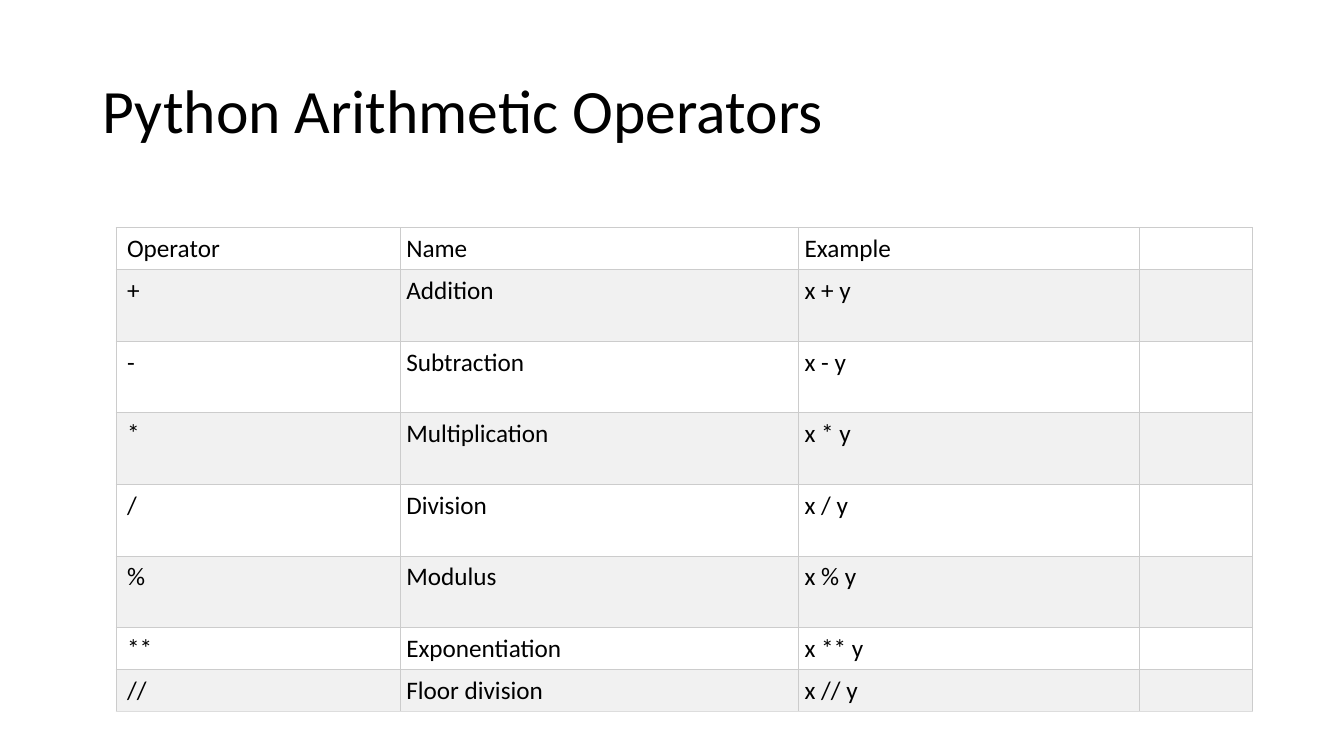
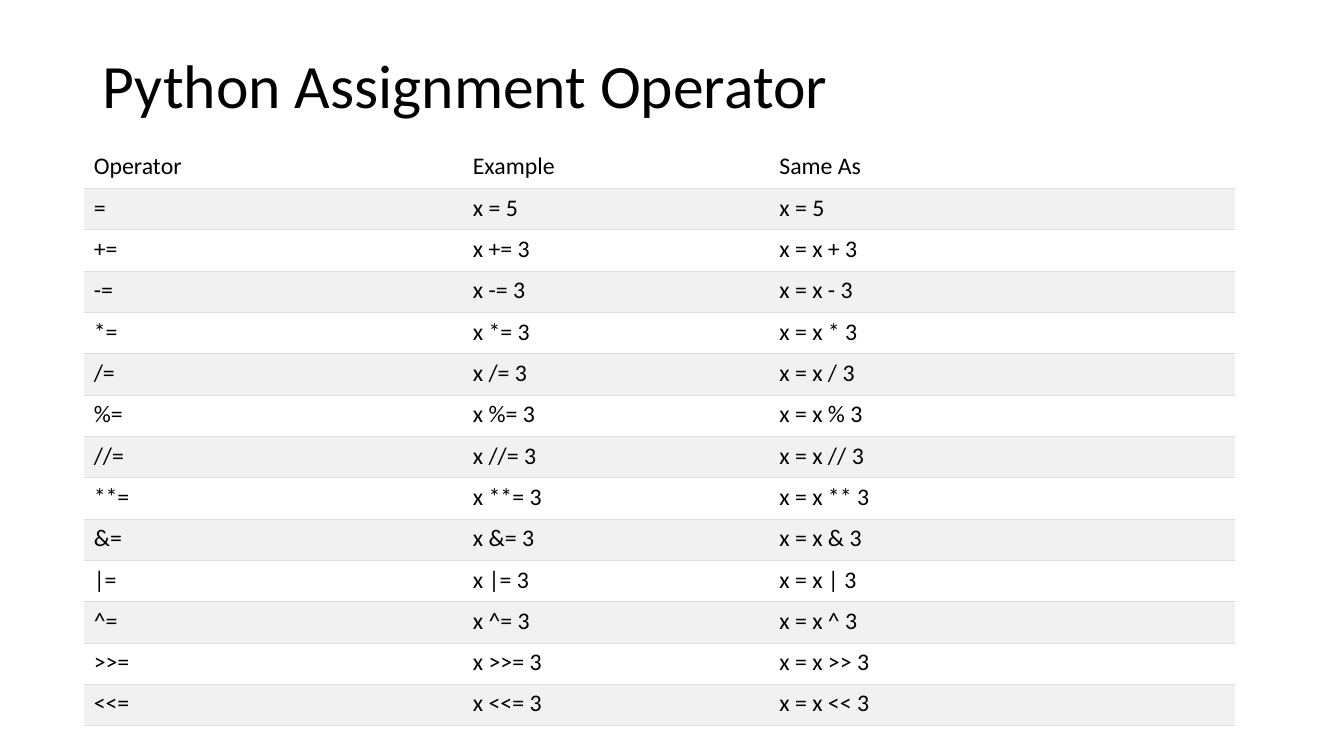
from lxml import etree
from pptx import Presentation
from pptx.dml.color import RGBColor
from pptx.enum.text import MSO_ANCHOR, PP_ALIGN
from pptx.oxml.ns import qn
from pptx.util import Inches, Pt

BLACK, WHITE, BAND = "000000", "FFFFFF", "F1F1F1"
GRID, RULE = "CCCCCC", "DDDDDD"


def rgb(value):
    return RGBColor.from_string(value)


def apply(obj, values):
    for name, value in values.items():
        setattr(obj, name, value)


class Deck:
    font = "Calibri"
    title_size = 44
    border_width = 0.5

    def __init__(self):
        self.prs = Presentation()
        apply(self.prs, {"slide_width": Inches(13.33), "slide_height": Inches(7.5)})
        self.s = None

    def style_run(self, r, size):
        apply(r.font, {"name": self.font, "size": Pt(size), "bold": False})
        r.font.color.rgb = rgb(BLACK)

    def slide(self, title, height):
        self.s = self.prs.slides.add_slide(self.prs.slide_layouts[5])
        sp = self.s.shapes.title
        apply(sp, {"left": Inches(0.92), "top": Inches(0.4),
                   "width": Inches(11.5), "height": Inches(height)})
        tf = sp.text_frame
        apply(tf, {"text": title, "word_wrap": True,
                   "vertical_anchor": MSO_ANCHOR.MIDDLE})
        p = tf.paragraphs[0]
        apply(p, {"alignment": PP_ALIGN.LEFT, "line_spacing": 0.9})
        self.style_run(p.runs[0], self.title_size)

    def borders(self, cell, colors):
        """Draw the sides named in colors and clear the others."""
        tcPr = cell._tc.get_or_add_tcPr()
        for i, side in enumerate("LRTB"):
            ln = etree.Element(qn(f"a:ln{side}"), w=str(Pt(self.border_width)))
            if side in colors:
                fill = etree.SubElement(ln, qn("a:solidFill"))
                etree.SubElement(fill, qn("a:srgbClr"), val=colors[side])
            else:
                etree.SubElement(ln, qn("a:noFill"))
            tcPr.insert(i, ln)

    def table(self, left, top, widths, heights, rows, size, margins, sides):
        """Fill a banded table; sides(row) gives the border colours of a row."""
        frame = self.s.shapes.add_table(
            len(rows), len(widths), Inches(left), Inches(top),
            Inches(sum(widths)), Inches(sum(heights)))
        tbl = frame.table
        apply(tbl, {"first_row": False, "horz_banding": False})
        for col, width in zip(tbl.columns, widths):
            col.width = Inches(width)
        for row, height in zip(tbl.rows, heights):
            row.height = Inches(height)

        first, right, above, below = margins
        for i, texts in enumerate(rows):
            for j, cell in enumerate(tbl.rows[i].cells):
                apply(cell, {"margin_left": Inches(right if j else first),
                             "margin_right": Inches(right),
                             "margin_top": Inches(above),
                             "margin_bottom": Inches(below)})
                cell.fill.solid()
                cell.fill.fore_color.rgb = rgb(BAND if i % 2 else WHITE)
                self.borders(cell, sides(i))
                # The last column stays empty
                if j < len(texts):
                    r = cell.text_frame.paragraphs[0].add_run()
                    r.text = texts[j]
                    self.style_run(r, size)


def main():
    deck = Deck()

    # Arithmetic operators: full grid
    arithmetic = [("+", "Addition"), ("-", "Subtraction"), ("*", "Multiplication"),
                  ("/", "Division"), ("%", "Modulus"), ("**", "Exponentiation"),
                  ("//", "Floor division")]
    rows = [("Operator", "Name", "Example")]
    rows += [(op, name, f"x {op} y") for op, name in arithmetic]
    last = len(rows) - 1
    deck.slide("Python Arithmetic Operators", 1.45)
    deck.table(1.15, 2.26, [2.82, 3.95, 3.38, 1.12],
               [0.41] + [0.71] * 5 + [0.41] * 2, rows, 18,
               (0.11, 0.06, 0.06, 0.05),
               lambda i: {**dict.fromkeys("LRT", GRID),
                          "B": RULE if i == last else GRID})

    # Assignment operators: horizontal rules only
    assignment = ["+", "-", "*", "/", "%", "//", "**", "&", "|", "^", ">>", "<<"]
    rows = [("Operator", "Example", "Same As"), ("=", "x = 5", "x = 5")]
    rows += [(f"{op}=", f"x {op}= 3", f"x = x {op} 3") for op in assignment]
    deck.slide("Python Assignment Operator", 0.95)
    deck.table(0.83, 1.46, [3.81, 3.04, 3.05, 1.52], [0.41] * len(rows),
               rows, 17, (0.1, 0.05, 0.05, 0.05),
               lambda i: dict.fromkeys("TB" if i else "B", RULE))

    deck.prs.save("out.pptx")


if __name__ == "__main__":
    main()
